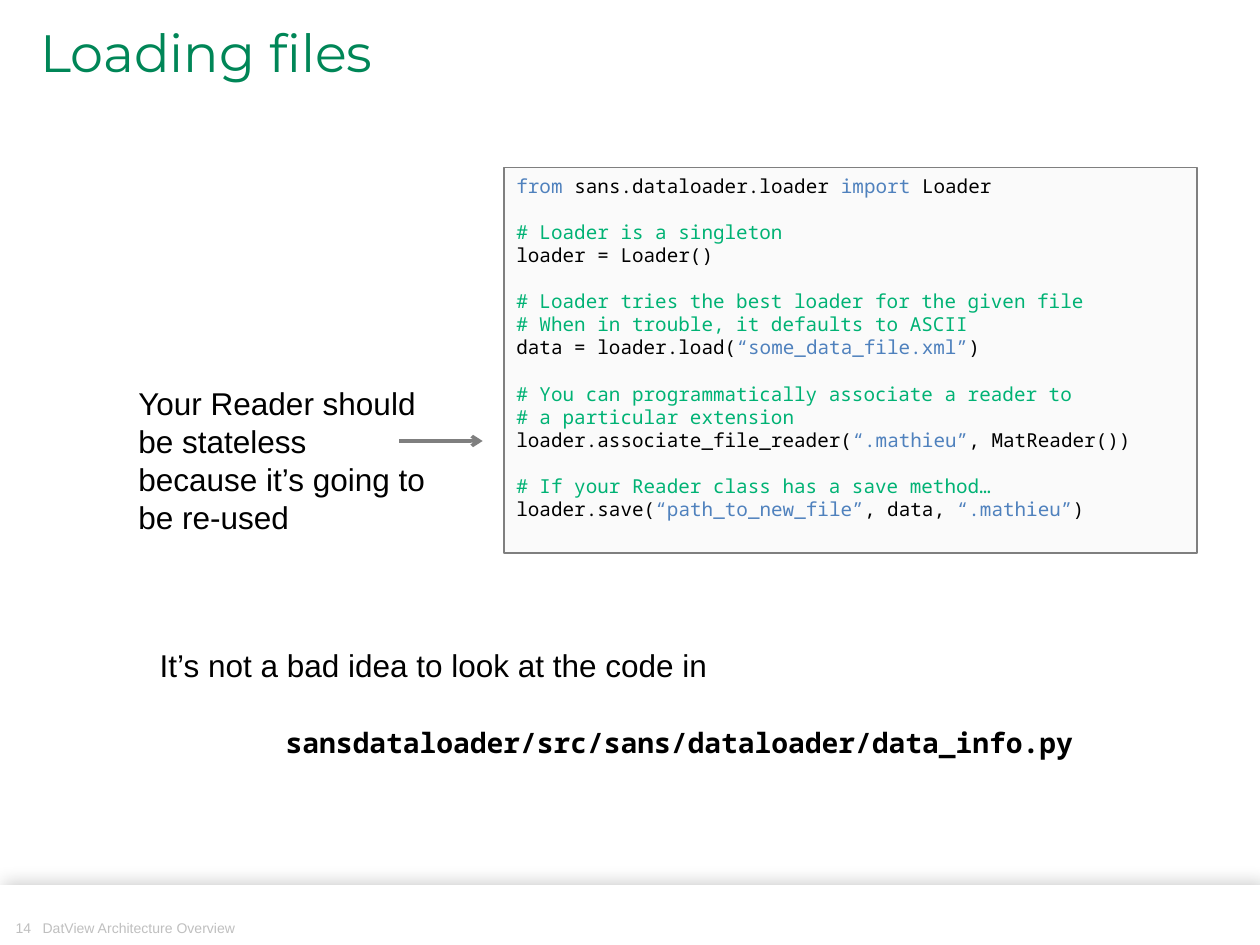
from typing import NamedTuple, Optional

from lxml import etree
from pptx import Presentation
from pptx import util as u
from pptx.dml.color import RGBColor
from pptx.enum import shapes, text
from pptx.oxml import parse_xml
from pptx.oxml.ns import nsdecls, qn

COLORS = {
    "white": "FFFFFF", "panel": "FAFAFA", "border": "7F7F7F", "footer": "BFBFBF",
    "title": "008657", "plain": "000000", "accent": "4F81BD", "comment": "00B274",
}
BODY, MONO, HEADING = "Arial", "Noto Sans Mono", "Montserrat"
CODE_PITCH, BODY_PITCH = u.Pt(13.2), u.Pt(21.6)


class Run(NamedTuple):
    text: str
    color: str = "plain"
    size: float = 18
    font: str = BODY
    bold: bool = False


class Para(NamedTuple):
    runs: list[Run]
    gap: int = 0
    spacing: Optional[float] = None
    align: Optional[text.PP_ALIGN] = None
    indent: int = 0


class Box(NamedTuple):
    left: float
    top: float
    width: float
    height: float
    paras: list[Para]
    inset: Optional[float] = None


def code(*parts: tuple[str, str], gap: bool = False) -> Para:
    """Make one code line from (text, colour) parts; gap leaves a line free above."""
    runs = [Run(t, c, 11, MONO) for t, c in parts]
    return Para(runs, CODE_PITCH if gap else 0, CODE_PITCH)


def comment(line: str, gap: bool = False) -> Para:
    return code((line, "comment"), gap=gap)


def rgb(name: str) -> RGBColor:
    return RGBColor.from_string(COLORS[name])


def write(tf, paras: list[Para]) -> None:
    tf.word_wrap = True
    tf.vertical_anchor = text.MSO_ANCHOR.TOP
    for i, para in enumerate(paras):
        p = tf.add_paragraph() if i else tf.paragraphs[0]
        p.alignment = para.align or text.PP_ALIGN.LEFT
        p.space_before = para.gap
        if para.spacing:
            p.line_spacing = para.spacing
        if para.indent:
            p._p.get_or_add_pPr().set("marL", str(para.indent))
        for run in para.runs:
            r = p.add_run()
            r.text = run.text
            r.font.name, r.font.size = run.font, u.Pt(run.size)
            r.font.bold = run.bold
            r.font.color.rgb = rgb(run.color)


def add_text(s, box: Box) -> None:
    sp = s.shapes.add_textbox(*map(u.Cm, box[:4]))
    tf = sp.text_frame
    if box.inset is not None:
        tf.margin_left = tf.margin_right = u.Cm(box.inset)
        tf.margin_top = tf.margin_bottom = u.Cm(box.inset)
    write(tf, box.paras)


def add_panel(s, box: Box, fill: str, line: str):
    sp = s.shapes.add_shape(shapes.MSO_SHAPE.RECTANGLE, *map(u.Cm, box[:4]))
    sp.shadow.inherit = False
    sp.fill.solid()
    sp.fill.fore_color.rgb = rgb(fill)
    sp.line.color.rgb = rgb(line)
    sp.line.width = u.Pt(0.75)
    if box.paras:
        write(sp.text_frame, box.paras)
    return sp


def add_soft_shadow(sp) -> None:
    effects = sp._element.spPr.find(qn("a:effectLst"))
    effects.append(parse_xml(
        f'<a:outerShdw {nsdecls("a")} blurRad="{u.Pt(10)}" dist="{u.Pt(3)}" '
        f'dir="{315 * 60000}" rotWithShape="0"><a:srgbClr val="{COLORS["plain"]}">'
        '<a:alpha val="20000"/></a:srgbClr></a:outerShdw>'))


def add_arrow(s, x1: float, x2: float, y: float) -> None:
    c = s.shapes.add_connector(
        shapes.MSO_CONNECTOR.STRAIGHT, u.Cm(x1), u.Cm(y), u.Cm(x2), u.Cm(y))
    c.line.color.rgb = rgb("border")
    c.line.width = u.Pt(2)
    etree.SubElement(c.line._get_or_add_ln(), qn("a:tailEnd"), type="arrow")
    etree.SubElement(c._element.spPr, qn("a:effectLst"))


CODE_LINES = [
    code(("from ", "accent"), ("sans.dataloader.loader ", "plain"),
         ("import", "accent"), (" Loader", "plain")),
    comment("# Loader is a singleton", gap=True),
    code(("loader = Loader()", "plain")),
    comment("# Loader tries the best loader for the given file", gap=True),
    comment("# When in trouble, it defaults to ASCII"),
    code(("data = loader.load(", "plain"), ("“some_data_file.xml”", "accent"),
         (")", "plain")),
    comment("# You can programmatically associate a reader to", gap=True),
    comment("# a particular extension"),
    code(("loader.associate_file_reader(", "plain"), ("“.mathieu”", "accent"),
         (", MatReader())", "plain")),
    comment("# If your Reader class has a save method…", gap=True),
    code(("loader.save(", "plain"), ("“path_to_new_file”", "accent"),
         (", data, ", "plain"), ("“.mathieu”", "accent"), (")", "plain")),
]

FOOTER_BAND = Box(0, 17.86, 25.4, 1.19, [])
CODE_PANEL = Box(10.16, 3.38, 13.97, 7.77, CODE_LINES)
PAGE_NUMBER = Box(0.05, 18.57, 0.58, 0.43, [
    Para([Run("14", "footer", 8)], spacing=0.9, align=text.PP_ALIGN.RIGHT)], inset=0)
DECK_NAME = Box(0.61, 18.42, 8.05, 0.51, [
    Para([Run("DatView Architecture Overview", "footer", 8)])])
TITLE = Box(0.56, 0.48, 22.86, 1.37, [
    Para([Run("Loading files", "title", 30, HEADING)], spacing=0.85)])
READER_NOTE = Box(2.54, 7.62, 6.35, 3.33, [
    Para([Run("Your Reader should be stateless because it’s going to be re-used")],
         spacing=BODY_PITCH)])
SOURCE_HINT = Box(2.97, 12.9, 21.16, 2.57, [
    Para([Run("It’s not a bad idea to look at the code in")], spacing=BODY_PITCH),
    Para([Run("sansdataloader/src/sans/dataloader/data_info.py", "plain", 16, MONO, True)],
         gap=BODY_PITCH, spacing=BODY_PITCH, indent=u.Cm(2.54))])


def main() -> None:
    prs = Presentation()
    prs.slide_width, prs.slide_height = u.Cm(25.4), u.Cm(19.05)
    s = prs.slides.add_slide(prs.slide_layouts[6])
    add_soft_shadow(add_panel(s, FOOTER_BAND, "white", "white"))
    for box in (PAGE_NUMBER, DECK_NAME, TITLE):
        add_text(s, box)
    add_panel(s, CODE_PANEL, "panel", "border")
    add_text(s, READER_NOTE)
    add_arrow(s, 8.05, 9.73, 8.89)
    add_text(s, SOURCE_HINT)
    prs.save("out.pptx")


if __name__ == "__main__":
    main()
